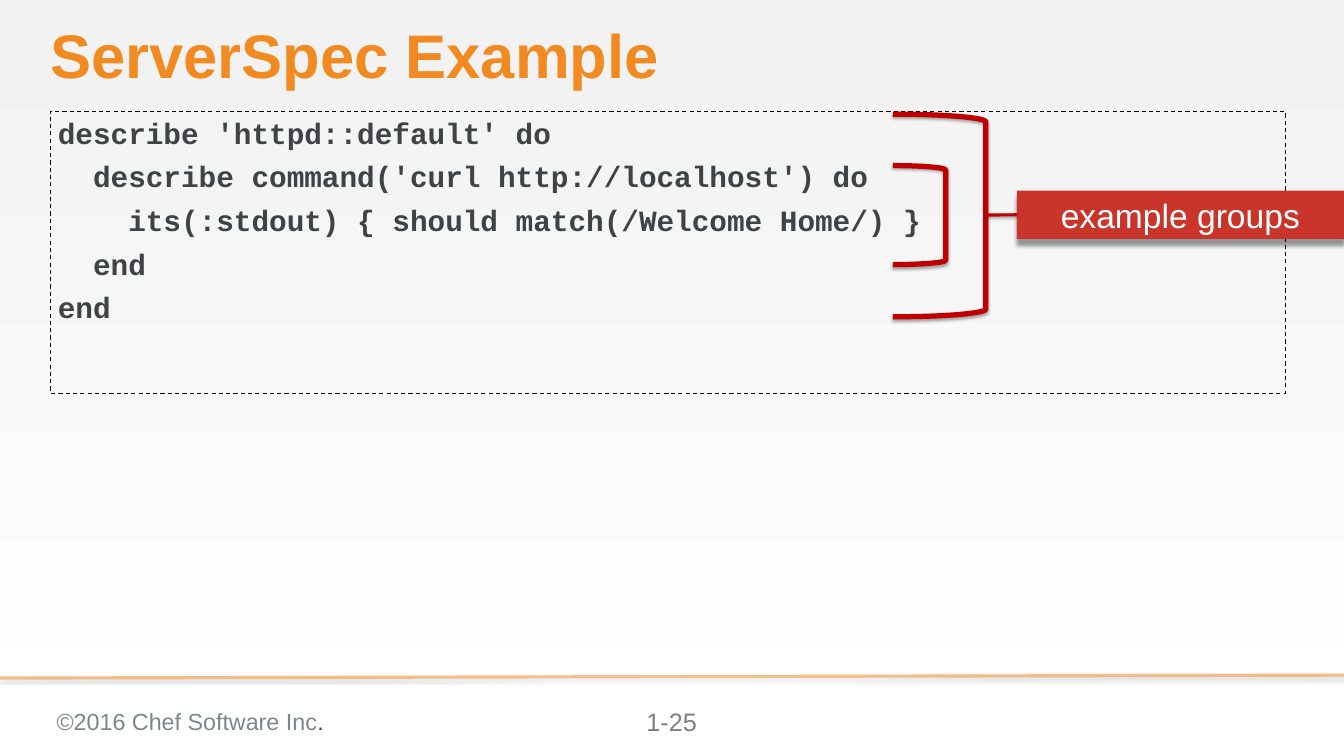
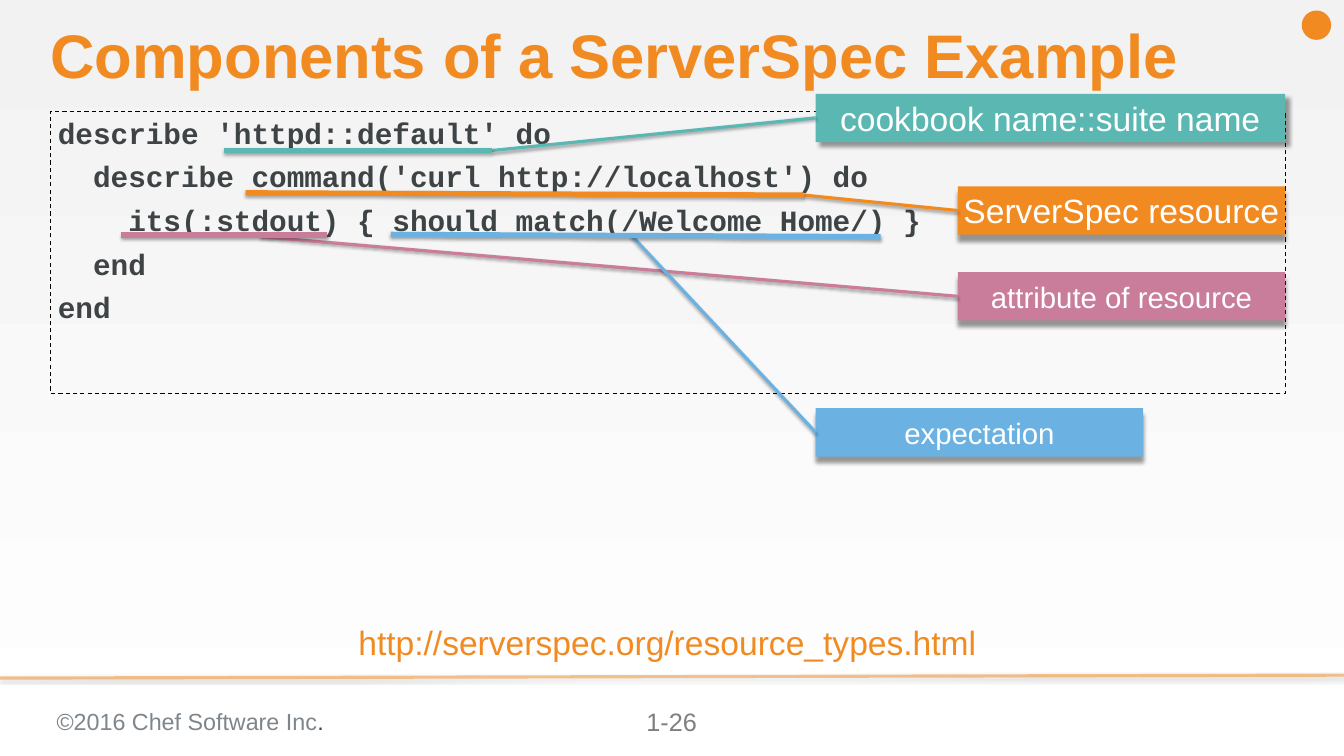
"""Build two slides that explain the parts of a ServerSpec example."""
from dataclasses import dataclass
from typing import Any, Optional

from lxml import etree
from pptx import Presentation, util as u
from pptx.dml.color import RGBColor
from pptx.enum import dml, shapes, text
from pptx.oxml import ns

Pt = u.Pt
Point = tuple[float, float]
Box = tuple[float, float, float, float]

COLORS = {
    "orange": "F18B21", "teal": "5AB7B2", "pink": "C97D9A", "blue": "6BB2E2",
    "red": "C9352B", "dark_red": "C00000", "code": "3E4346", "black": "000000",
    "copyright": "7D868C", "page": "7F7F7F", "white": "FFFFFF", "top": "F2F2F2",
}
SLIDE_W, SLIDE_H = 1280, 720
LABEL_H, LABEL_W = 46, 311.8
CODE_BOX = (48, 105.8, 1176, 268.6)
CODE = [
    "describe 'httpd::default' do",
    "  describe command('curl http://localhost') do",
    "    its(:stdout) { should match(/Welcome Home/) }",
    "  end",
    "end",
]


@dataclass(frozen=True)
class TextStyle:
    size: float
    color: str
    font: str = "Arial"
    bold: bool = False
    align: Any = text.PP_ALIGN.LEFT
    anchor: Any = text.MSO_ANCHOR.TOP
    inset: Point = (0, 0)
    line_spacing: float = 1.0
    space_before: float = 0


@dataclass(frozen=True)
class Shadow:
    opacity: int
    blur: float
    distance: float
    angle: int = 90


@dataclass(frozen=True)
class Label:
    caption: str
    left: float
    top: float
    color: str
    width: float = LABEL_W
    size: float = 32
    shadow_angle: int = 90

    @property
    def anchor(self) -> Point:
        return self.left, self.top + LABEL_H / 2


@dataclass(frozen=True)
class Component:
    label: Label
    underline: tuple[Point, Point]
    leader_start: Point


CENTER = text.PP_ALIGN.CENTER
TITLE = TextStyle(58.6, "orange", bold=True, anchor=text.MSO_ANCHOR.BOTTOM, line_spacing=0.9)
CODE_STYLE = TextStyle(28, "code", "Courier New", True, inset=(7.2, 3.6), space_before=8)
COPYRIGHT = TextStyle(22.2, "copyright", inset=(7.2, 7.2))
PAGE = TextStyle(24, "page", align=CENTER, inset=(7.2, 7.2))
LINK = TextStyle(32, "orange", align=CENTER, anchor=text.MSO_ANCHOR.BOTTOM)
LINE_SHADOW = Shadow(35, 3.1, 1.8)

EXAMPLE_GROUPS = Label("example groups", 968.4, 181.6, "red")
GROUP_BRACKETS = [(850.3, 108.7, 88.6, 193), (850.3, 157.7, 50.4, 94.3)]
COMPONENTS = [
    Component(Label("cookbook name::suite name", 776.9, 89.3, "teal", 447.1, shadow_angle=45),
              ((213.8, 143.3), (468.7, 143.3)), (468.7, 143.3)),
    Component(Label("ServerSpec resource", 912.2, 177.5, "orange"),
              ((234, 183.6), (765.4, 185.8)), (765.4, 185.8)),
    Component(Label("attribute of resource", 912.2, 259.2, "pink", size=28),
              ((115.2, 223.9), (311.8, 223.9)), (247.7, 225.4)),
    Component(Label("expectation", 776.9, 388.8, "blue", size=28),
              ((372.2, 223.2), (838.8, 225.4)), (600.5, 223.2)),
]


def rgb(color: str) -> RGBColor:
    return RGBColor.from_string(COLORS[color])


def assign(target: Any, values: dict[str, Any]) -> None:
    for attribute, value in values.items():
        setattr(target, attribute, value)


def add_alpha(color_element: Any, percent: int) -> None:
    etree.SubElement(color_element, ns.qn("a:alpha"), val=str(percent * 1000))


def cast_shadow(part: Any, shadow: Shadow) -> None:
    effects = etree.SubElement(part._element.spPr, ns.qn("a:effectLst"))
    outer = etree.SubElement(
        effects, ns.qn("a:outerShdw"), blurRad=str(int(Pt(shadow.blur))),
        dist=str(int(Pt(shadow.distance))), dir=str(shadow.angle * 60000), rotWithShape="0")
    add_alpha(etree.SubElement(outer, ns.qn("a:srgbClr"), val=COLORS["black"]), shadow.opacity)


def write(frame: Any, lines: list[str], style: TextStyle) -> None:
    side, edge = map(Pt, style.inset)
    assign(frame, {
        "word_wrap": True, "auto_size": text.MSO_AUTO_SIZE.NONE,
        "vertical_anchor": style.anchor, "margin_left": side, "margin_right": side,
        "margin_top": edge, "margin_bottom": edge,
    })
    for number, line in enumerate(lines):
        paragraph = frame.add_paragraph() if number else frame.paragraphs[0]
        assign(paragraph, {"alignment": style.align, "line_spacing": style.line_spacing})
        if number:
            paragraph.space_before = Pt(style.space_before)
        add_run(paragraph, line, style, style.color)


def add_run(paragraph: Any, words: str, style: TextStyle, color: str) -> None:
    run = paragraph.add_run()
    run.text = words
    assign(run.font, {"name": style.font, "size": Pt(style.size), "bold": style.bold})
    run.font.color.rgb = rgb(color)


def add_text(slide: Any, box: Box, words: str, style: TextStyle) -> Any:
    frame = slide.shapes.add_textbox(*map(Pt, box)).text_frame
    write(frame, [words], style)
    return frame


def stroke(part: Any, color: str, width: float) -> None:
    part.line.color.rgb = rgb(color)
    part.line.width = Pt(width)


def add_form(slide: Any, kind: Any, box: Box, fill: Optional[str] = None) -> Any:
    form = slide.shapes.add_shape(kind, *map(Pt, box))
    if fill:
        form.fill.solid()
        form.fill.fore_color.rgb = rgb(fill)
    else:
        form.fill.background()
    form.line.fill.background()
    return form


def add_line(slide: Any, start: Point, end: Point, color: str, width: float) -> Any:
    line = slide.shapes.add_connector(
        shapes.MSO_CONNECTOR.STRAIGHT, *map(Pt, (*start, *end)))
    stroke(line, color, width)
    cast_shadow(line, LINE_SHADOW)
    return line


def add_label(slide: Any, label: Label) -> None:
    box = (label.left, label.top, label.width, LABEL_H)
    plate = add_form(slide, shapes.MSO_SHAPE.RECTANGLE, box, label.color)
    cast_shadow(plate, Shadow(40, 4, 6, label.shadow_angle))
    write(plate.text_frame, [label.caption],
          TextStyle(label.size, "white", align=CENTER, anchor=text.MSO_ANCHOR.MIDDLE))


def add_bracket(slide: Any, box: Box) -> None:
    bracket = add_form(slide, shapes.MSO_SHAPE.RIGHT_BRACKET, box)
    stroke(bracket, "dark_red", 5)
    cast_shadow(bracket, LINE_SHADOW)


def start_slide(deck: Any, title: str, page: str) -> Any:
    slide = deck.slides.add_slide(deck.slide_layouts[6])
    backdrop = slide.background.fill
    backdrop.gradient()
    backdrop.gradient_angle = 270
    for stop, color, position in zip(backdrop.gradient_stops, ("top", "white"), (0, 1)):
        stop.color.rgb = rgb(color)
        stop.position = position

    footer_rule = add_line(slide, (SLIDE_W, 643), (0, 645.8), "orange", 3)
    add_alpha(footer_rule.line._ln.find(".//" + ns.qn("a:srgbClr")), 50)
    notice = add_text(slide, (46.8, 666, 424.8, 37.4), "©2016 Chef Software Inc", COPYRIGHT)
    add_run(notice.paragraphs[0], ".", COPYRIGHT, "code")
    add_text(slide, (583.2, 665.5, 113, 41), page, PAGE)
    add_text(slide, (48, 22, 1176, 65.5), title, TITLE)

    listing = add_form(slide, shapes.MSO_SHAPE.RECTANGLE, CODE_BOX)
    listing.shadow.inherit = False
    stroke(listing, "black", 1)
    listing.line.dash_style = dml.MSO_LINE.DASH
    write(listing.text_frame, CODE, CODE_STYLE)
    return slide


def build_groups(deck: Any) -> None:
    slide = start_slide(deck, "ServerSpec Example", "1-25")
    add_label(slide, EXAMPLE_GROUPS)
    for box in GROUP_BRACKETS:
        add_bracket(slide, box)
    add_line(slide, (938.9, 204.8), EXAMPLE_GROUPS.anchor, "dark_red", 3)


def build_components(deck: Any) -> None:
    slide = start_slide(deck, "Components of a ServerSpec Example", "1-26")
    add_text(slide, (48, 393.8, 1176, 236.9), "http://serverspec.org/resource_types.html", LINK)
    for component in COMPONENTS:
        add_label(slide, component.label)
    for component in COMPONENTS:
        label = component.label
        add_line(slide, component.leader_start, label.anchor, label.color, 3)
        add_line(slide, *component.underline, label.color, 5)
    dot = add_form(slide, shapes.MSO_SHAPE.OVAL, (1239.8, 10, 28, 28), "orange")
    dot.shadow.inherit = False


def main() -> None:
    deck = Presentation()
    assign(deck, {"slide_width": Pt(SLIDE_W), "slide_height": Pt(SLIDE_H)})
    build_groups(deck)
    build_components(deck)
    deck.save("out.pptx")


if __name__ == "__main__":
    main()
